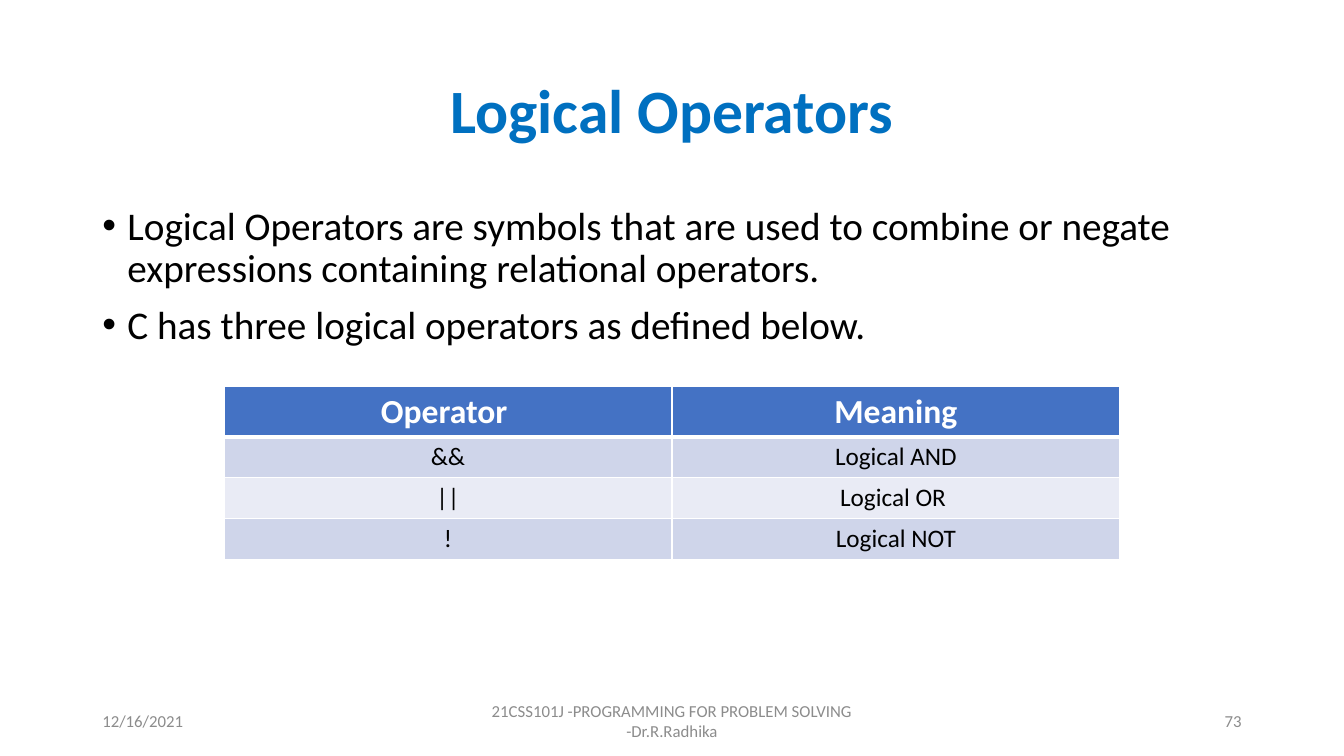
"""Build the slide on the logical operators of C."""
import pptx
import pptx.dml.color
import pptx.enum.text
import pptx.oxml
import pptx.oxml.ns
import pptx.util

Pt = pptx.util.Pt
ALIGN = pptx.enum.text.PP_ALIGN
MIDDLE = pptx.enum.text.MSO_ANCHOR.MIDDLE
TOP = pptx.enum.text.MSO_ANCHOR.TOP

TITLE = "Logical Operators"
BULLETS = [
    "Logical Operators are symbols that are used to combine or negate "
    "expressions containing relational operators.",
    "C has three logical operators as defined below.",
]
ROWS = [
    ("Operator ", "Meaning"),
    ("&&", "Logical AND"),
    ("||", "Logical OR "),
    ("!", "Logical NOT"),
]
FOOTERS = [
    ("12/16/2021", 66, 216, ALIGN.LEFT),
    ("21CSS101J -PROGRAMMING FOR PROBLEM SOLVING -Dr.R.Radhika", 318, 324, ALIGN.CENTER),
    ("73", 678, 216, ALIGN.RIGHT),
]
COLORS = {
    "title": "0070C0",
    "text": "000000",
    "footer": "8C8C8C",
    "header": "4472C4",
    "odd": "CFD5EA",
    "even": "E9EBF5",
    "white": "FFFFFF",
}
FONT = "Calibri"
WIDTH, HEIGHT, MARGIN = 960, 540, 66
TABLE_LEFT, TABLE_TOP, TABLE_WIDTH = 160, 276, 640
HEADER_HEIGHT, ROW_HEIGHT = 36, 29.3


def color(name):
    return pptx.dml.color.RGBColor.from_string(COLORS[name])


def add_text(paragraph, text, size, color_name, alignment, bold=False):
    paragraph.alignment = alignment
    run = paragraph.add_run()
    run.text = text
    run.font.name = FONT
    run.font.size = Pt(size)
    run.font.bold = bold
    run.font.color.rgb = color(color_name)


def add_box(slide, left, top, width, height, anchor):
    frame = slide.shapes.add_textbox(Pt(left), Pt(top), Pt(width), Pt(height)).text_frame
    frame.word_wrap = True
    frame.vertical_anchor = anchor
    return frame


def add_bullet(paragraph):
    properties = paragraph._p.get_or_add_pPr()
    properties.set("marL", str(Pt(18)))
    properties.set("indent", str(-Pt(18)))
    namespace = pptx.oxml.ns.nsdecls("a")
    properties.append(pptx.oxml.parse_xml(f'<a:buFont {namespace} typeface="Arial"/>'))
    properties.append(pptx.oxml.parse_xml(f'<a:buChar {namespace} char="•"/>'))


def add_borders(cell, widths):
    properties = cell._tc.get_or_add_tcPr()
    for side, width in widths.items():
        properties.append(pptx.oxml.parse_xml(
            f'<a:ln{side} {pptx.oxml.ns.nsdecls("a")} w="{Pt(width)}"><a:solidFill>'
            f'<a:srgbClr val="{COLORS["white"]}"/></a:solidFill></a:ln{side}>'))


def add_operator_table(slide):
    row_count, column_count = len(ROWS), len(ROWS[0])
    height = HEADER_HEIGHT + ROW_HEIGHT * (row_count - 1)
    table = slide.shapes.add_table(
        row_count, column_count, Pt(TABLE_LEFT), Pt(TABLE_TOP), Pt(TABLE_WIDTH), Pt(height)).table
    for column in table.columns:
        column.width = Pt(TABLE_WIDTH / column_count)
    for row_index, texts in enumerate(ROWS):
        header = row_index == 0
        fill = "header" if header else "odd" if row_index % 2 else "even"
        table.rows[row_index].height = Pt(HEADER_HEIGHT if header else ROW_HEIGHT)
        borders = {"L": 1, "R": 1, "T": 3 if row_index == 1 else 1, "B": 3 if header else 1}
        for column_index, text in enumerate(texts):
            cell = table.cell(row_index, column_index)
            add_borders(cell, borders)
            cell.fill.solid()
            cell.fill.fore_color.rgb = color(fill)
            cell.vertical_anchor = MIDDLE
            add_text(cell.text_frame.paragraphs[0], text, 24 if header else 18,
                     "white" if header else "text", ALIGN.CENTER, header)


def main():
    presentation = pptx.Presentation()
    presentation.slide_width, presentation.slide_height = Pt(WIDTH), Pt(HEIGHT)
    slide = presentation.slides.add_slide(presentation.slide_layouts[6])
    content_width = WIDTH - 2 * MARGIN

    title = add_box(slide, MARGIN, 28.8, content_width, 104.4, MIDDLE).paragraphs[0]
    title.line_spacing = 0.9
    add_text(title, TITLE, 44, "title", ALIGN.CENTER, True)

    body = add_box(slide, MARGIN, 144, content_width, 120, TOP)
    for index, text in enumerate(BULLETS):
        paragraph = body.add_paragraph() if index else body.paragraphs[0]
        add_bullet(paragraph)
        paragraph.line_spacing = 0.9
        if index:
            paragraph.space_before = Pt(10)
        add_text(paragraph, text, 28, "text", ALIGN.LEFT)

    add_operator_table(slide)

    for text, left, width, alignment in FOOTERS:
        footer = add_box(slide, left, 500.5, width, 28.8, MIDDLE)
        add_text(footer.paragraphs[0], text, 12, "footer", alignment)

    presentation.save("out.pptx")


if __name__ == "__main__":
    main()
